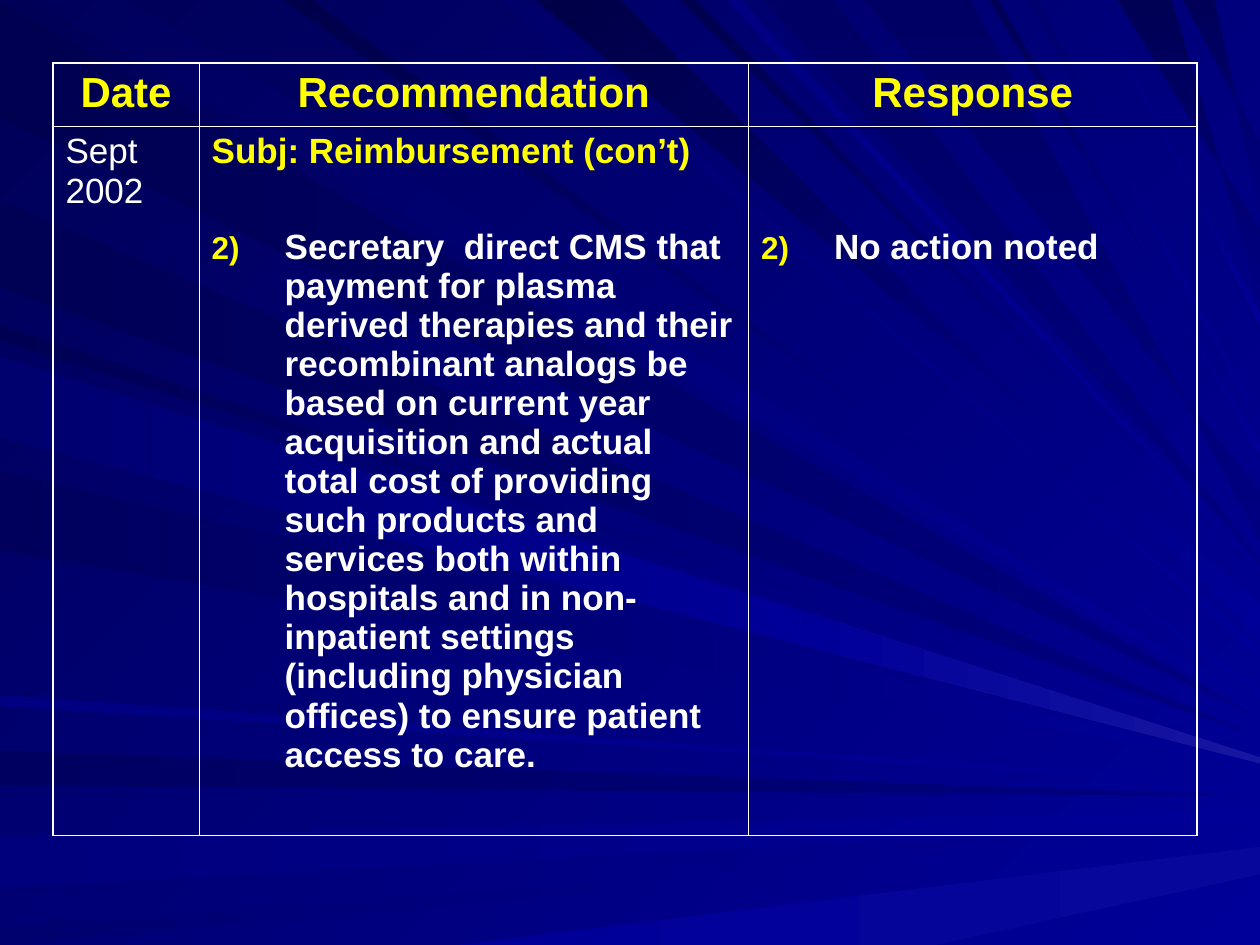
from dataclasses import dataclass

from lxml.etree import SubElement
from pptx import Presentation
from pptx.dml.color import RGBColor
from pptx.enum.text import MSO_ANCHOR as Anchor, PP_ALIGN as Align
from pptx.oxml import parse_xml
from pptx.oxml.ns import nsdecls, qn
from pptx.util import Inches, Pt

WIDTH, HEIGHT = 10, 7.5
NAVY, BLUE, WHITE, YELLOW = "000080", "000099", "FFFFFF", "FFFF00"
# Gradient directions, counter-clockwise degrees
LEFT, UP_LEFT, DOWN = 180, 135, 270


@dataclass
class Ray:
    """A beam from a stretch of the left or top edge to the right edge."""
    edge: str
    start: float
    end: float
    tip: float
    dark: str
    bright: str = BLUE
    spread: float = 0

    def corners(self):
        stretch = (self.end, self.start)
        base = [(0, y) if self.edge == "left" else (x, 0) for x, y in zip(stretch, stretch)]
        tips = [(WIDTH, self.tip), (WIDTH, self.tip + self.spread)]
        return base + (tips if self.spread else tips[:1])

    def gradient(self):
        if self.edge == "left":
            return self.bright, self.dark, LEFT
        if self.bright == NAVY:
            return self.dark, self.bright, DOWN
        return self.bright, self.dark, UP_LEFT


# Back to front
RAYS = [
    Ray("left", 0.02, 0.93, 5.7, "000051", NAVY),
    Ray("top", 0.26, 1.01, 5.63, "00005C"),
    Ray("left", 5.96, 6.23, 6.32, "000060", NAVY),
    Ray("left", 6.65, 7.04, 6.43, "00007C", spread=0.08),
    Ray("left", 7.35, 7.5, 6.62, "00006E"),
    Ray("left", 2.58, 2.7, 5.89, "000053"),
    Ray("left", 1.59, 2.28, 5.85, "000055", NAVY),
    Ray("top", 3.98, 4.16, 5.15, "00006A", spread=0.06),
    Ray("top", 4.26, 4.92, 4.79, "000046", spread=0.28),
    Ray("top", 5.4, 5.52, 4.63, "00004E"),
    Ray("top", 6.06, 6.61, 4.46, "000064", NAVY),
    Ray("top", 8.87, 9.3, 1.83, "000055", NAVY, 0.54),
    Ray("top", 9.39, 9.64, 1.14, "000059", NAVY, 0.53),
    Ray("left", 2.78, 3.42, 6.02, "000060"),
    Ray("left", 3.74, 4.37, 6.06, "00005C"),
    Ray("left", 5.52, 5.6, 6.23, "000081"),
    Ray("top", 2.25, 2.47, 5.47, "00004A", spread=0.05),
    Ray("top", 5.77, 5.88, 4.54, "000081"),
    Ray("top", 6.86, 7.7, 3.9, "000064", NAVY, 0.38),
    Ray("top", 7.85, 7.92, 3.54, "000057", spread=0.06),
    Ray("top", 8.15, 8.24, 3.36, "00006E"),
    Ray("top", 8.65, 8.72, 2.49, "000078", spread=0.09),
]
# Brighter beams that start inside the slide
LOW_BEAM = [(3.64, HEIGHT), (WIDTH, 6.72), (WIDTH, 6.94), (7.42, HEIGHT)]
LONG_BEAM = [(0, 2.83), (6.37, 4.85), (6.33, 5.11), (0, 3.47)]
PALE_BEAM = [*LONG_BEAM[1:3], (WIDTH, 6.06), (WIDTH, 6.01)]

# Text formats
HEADING = {"name": "Arial", "size": Pt(24), "bold": True}
STRONG = {"name": "Arial", "size": Pt(20), "bold": True}
PLAIN = {"name": "Arial", "size": Pt(20), "bold": False}

RECOMMENDATION = (
    "Secretary  direct CMS that payment for plasma derived therapies and their "
    "recombinant analogs be based on current year acquisition and actual total "
    "cost of providing such products and services both within hospitals and in "
    "non-inpatient settings (including physician offices) to ensure patient "
    "access to care."
)


def color(value):
    return RGBColor.from_string(value)


class SlideBuilder:
    outer_line, inner_line = Pt(1.08), Pt(0.45)
    indent = Inches(0.58)

    def __init__(self, deck):
        self.page = deck.slides.add_slide(deck.slide_layouts[6])

    def paint(self, fill, first, last, angle):
        fill.gradient()
        fill.gradient_angle = angle
        for stop, value in zip(fill.gradient_stops, (first, last)):
            stop.color.rgb = color(value)

    def background(self, first, last, angle):
        self.paint(self.page.background.fill, first, last, angle)

    def beam(self, corners, first, last, angle):
        start, *others = [(Inches(x), Inches(y)) for x, y in corners]
        outline = self.page.shapes.build_freeform(*start)
        outline.add_line_segments(others, close=True)
        beam = outline.convert_to_shape()
        beam.shadow.inherit = False
        beam.line.fill.background()
        self.paint(beam.fill, first, last, angle)

    def table(self, left, top, widths, heights):
        frame = self.page.shapes.add_table(
            len(heights), len(widths), Inches(left), Inches(top),
            Inches(sum(widths)), Inches(sum(heights)))
        table = frame.table
        table.first_row = table.horz_banding = False
        for column, width in zip(table.columns, widths):
            column.width = Inches(width)
        for row, height in zip(table.rows, heights):
            row.height = Inches(height)
        last_row, last_column = len(heights) - 1, len(widths) - 1
        for r in range(len(heights)):
            for c in range(len(widths)):
                cell = table.cell(r, c)
                cell.fill.background()
                cell.vertical_anchor = Anchor.TOP
                self.borders(cell, {"lnL": c == 0, "lnR": c == last_column,
                                    "lnT": r == 0, "lnB": r == last_row})
        return table

    def borders(self, cell, sides):
        properties = cell._tc.get_or_add_tcPr()
        for position, (side, is_outer) in enumerate(sides.items()):
            width = self.outer_line if is_outer else self.inner_line
            properties.insert(position, parse_xml(
                f'<a:{side} {nsdecls("a")} w="{int(width)}"><a:solidFill>'
                f'<a:srgbClr val="{WHITE}"/></a:solidFill></a:{side}>'))

    def text(self, para, words, style, ink, align=Align.LEFT):
        para.alignment = align
        span = para.add_run()
        span.text = words
        for name, value in style.items():
            setattr(span.font, name, value)
        span.font.color.rgb = color(ink)

    def numbered(self, para, number, words):
        properties = para._p.get_or_add_pPr()
        properties.set("marL", str(int(self.indent)))
        properties.set("indent", str(-int(self.indent)))
        bullet_color = SubElement(properties, qn("a:buClr"))
        SubElement(bullet_color, qn("a:srgbClr"), val=YELLOW)
        SubElement(properties, qn("a:buSzPct"), val="90000")
        SubElement(properties, qn("a:buAutoNum"), type="arabicParenR", startAt=str(number))
        self.text(para, words, STRONG, WHITE)


def main():
    deck = Presentation()
    deck.slide_width, deck.slide_height = Inches(WIDTH), Inches(HEIGHT)
    slide = SlideBuilder(deck)

    # Backdrop
    slide.background(BLUE, "000057", UP_LEFT)
    for ray in RAYS:
        slide.beam(ray.corners(), *ray.gradient())
    slide.beam(LOW_BEAM, "07079B", BLUE, LEFT)
    slide.beam(LONG_BEAM, BLUE, "00006E", LEFT)
    slide.beam(PALE_BEAM, "1616A1", BLUE, LEFT)

    # Table headings
    table = slide.table(0.42, 0.5, [1.16, 4.36, 3.56], [0.5, 5.63])
    for column, heading in enumerate(["Date", "Recommendation", "Response"]):
        para = table.cell(0, column).text_frame.paragraphs[0]
        slide.text(para, heading, HEADING, YELLOW, Align.CENTER)

    # Table entry
    date, advice, response = [table.cell(1, column) for column in range(3)]
    slide.text(date.text_frame.paragraphs[0], "Sept 2002", PLAIN, WHITE)
    slide.text(advice.text_frame.paragraphs[0], "Subj: Reimbursement (con’t)", STRONG, YELLOW)
    item = advice.text_frame.add_paragraph()
    slide.numbered(item, 2, RECOMMENDATION)
    item.space_before = Pt(32.3)

    # The response starts level with the recommendation it answers
    response.margin_top = Inches(0.81)
    slide.numbered(response.text_frame.paragraphs[0], 2, "No action noted")

    deck.save("out.pptx")


if __name__ == "__main__":
    main()
